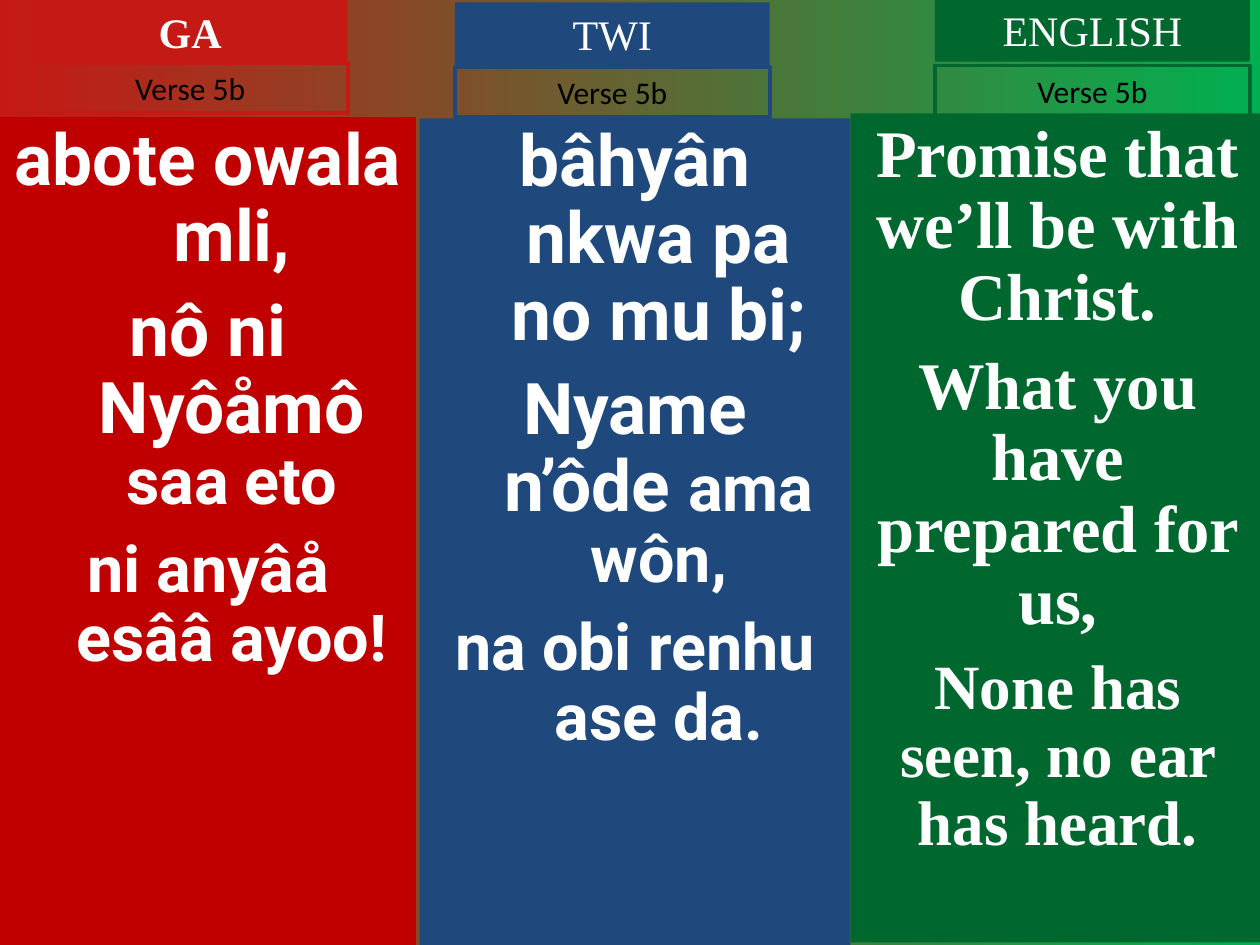
"""Build a three-language hymn slide: verse 5b in Ga, Twi and English."""
from lxml import etree
from pptx import Presentation
from pptx import util as u
from pptx.dml.color import RGBColor
from pptx.enum import text
from pptx.oxml.ns import qn

COLORS = {
    "ga_panel": "C00000", "ga": "C51915", "twi": "1F497D", "english": "00682F",
    "bg_end": "00B050", "white": "FFFFFF", "black": "000000",
}
SERIF = "Times New Roman"


def rgb(name):
    return RGBColor.from_string(COLORS[name])


def write(paragraphs, box, place, size, font, color="white", bold=False,
          fill=None, line=None, hanging=0, leading=1.0, gaps=()):
    """Place a box and fill it; a paragraph is a list of (words, size) runs."""
    box.left, box.top, box.width, box.height = map(u.Inches, place)
    if fill:
        box.fill.solid()
        box.fill.fore_color.rgb = rgb(fill)
    if line:
        box.line.color.rgb = rgb(line)
        box.line.width = u.Pt(2.25)
    frame = box.text_frame
    frame.word_wrap = True
    frame.auto_size = text.MSO_AUTO_SIZE.NONE
    frame.vertical_anchor = text.MSO_ANCHOR.TOP
    for number, runs in enumerate(paragraphs):
        paragraph = frame.add_paragraph() if number else frame.paragraphs[0]
        properties = paragraph._p.get_or_add_pPr()
        properties.set("marL", str(u.Inches(hanging)))
        properties.set("indent", str(-u.Inches(hanging)))
        etree.SubElement(properties, qn("a:buNone"))
        paragraph.alignment = text.PP_ALIGN.CENTER
        paragraph.line_spacing = leading
        paragraph.space_before = u.Pt(gaps[number - 1] if number else 0)
        for words, run_size in runs:
            run = paragraph.add_run()
            run.text = words
            run.font.size = u.Pt(run_size or size)
            run.font.name = font
            run.font.bold = bold
            run.font.color.rgb = rgb(color)


deck = Presentation()
deck.slide_width, deck.slide_height = u.Inches(10), u.Inches(7.5)
slide = deck.slides.add_slide(deck.slide_layouts[3])
title, ga_body, twi_body = slide.placeholders

background = slide.background.fill
background.gradient()
background.gradient_angle = 0
for stop, name, position in zip(background.gradient_stops, ("ga", "bg_end"), (0, 1)):
    stop.color.rgb = rgb(name)
    stop.position = position


def new_box():
    return slide.shapes.add_textbox(0, 0, 0, 0)


ga_verse = [
    [("abote owala mli,", None)],
    [("nô ni Nyôåmô ", None), ("saa eto", 37)],
    [("ni anyâå esââ ayoo!", 37)],
]
twi_verse = [
    [("bâhyân nkwa pa no mu bi;", None)],
    [("Nyame n’ôde ", None), ("ama wôn,", 37)],
    [("na obi renhu ase da.", 37)],
]
english_verse = [
    [("Promise that we’ll be with Christ.", None)],
    [("What you have prepared for us,", None)],
    [("None has seen, no ear has heard.", 36)],
]

hymn_style = dict(size=40.7, font="Roboto", bold=True, hanging=0.38, leading=0.9, gaps=(10, 10))
write(ga_verse, ga_body, (0, 0.93, 3.3, 6.57), fill="ga_panel", **hymn_style)
write(twi_verse, twi_body, (3.33, 0.94, 3.42, 6.56), fill="twi", **hymn_style)
write(english_verse, new_box(), (6.75, 0.9, 3.29, 6.58), size=38, font=SERIF, bold=True,
      fill="english", leading=0.9, gaps=(9.5, 9))

headings = [
    ("GA", title, "ga", 0.26, 0, 0.5),
    ("TWI", new_box(), "twi", 3.61, 0.02, 0.53),
    ("ENGLISH", new_box(), "english", 7.42, -0.01, 0.52),
]
for language, heading, color, left, top, verse_top in headings:
    write([[(language, None)]], heading, (left, top, 2.5, 0.5), size=24, font=SERIF,
          bold=language == "GA", fill=color)
    write([[("Verse 5b", None)]], new_box(), (left, verse_top, 2.5, 0.4), size=18,
          font="Calibri", color="black", line=color)

deck.save("out.pptx")
